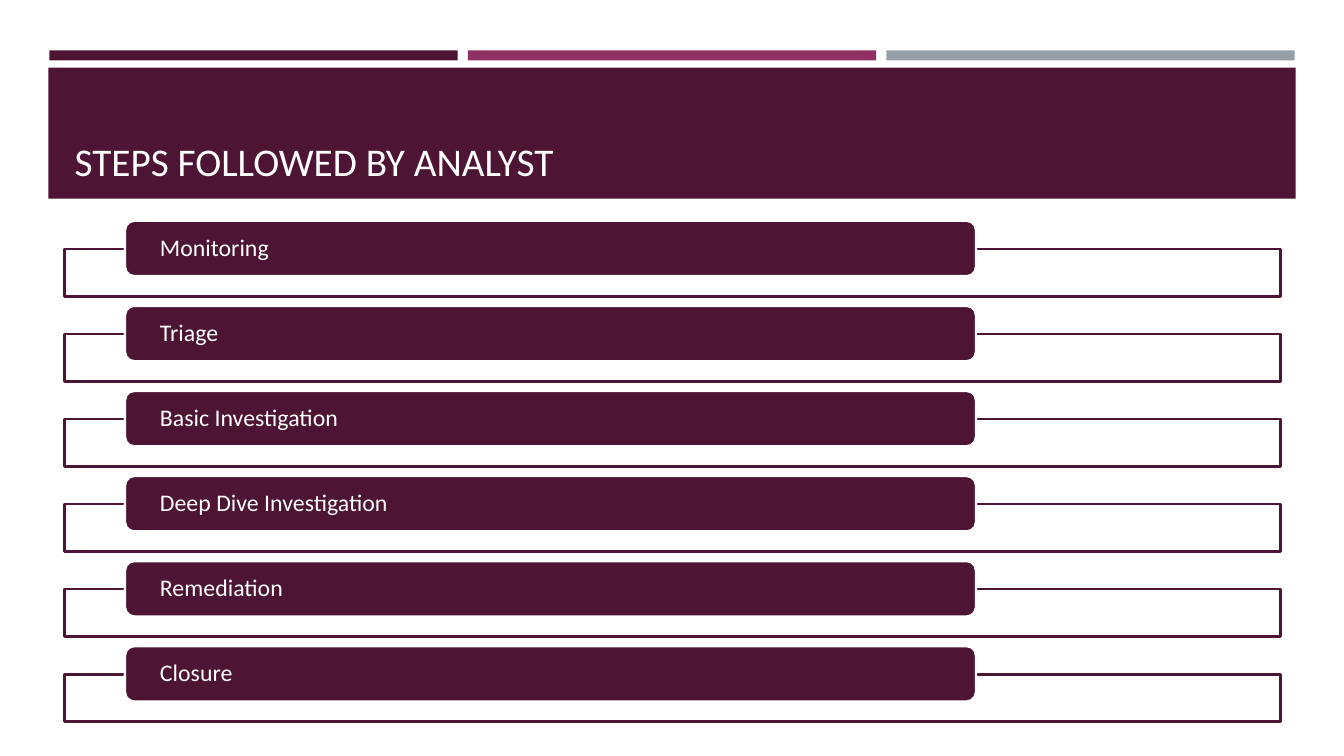
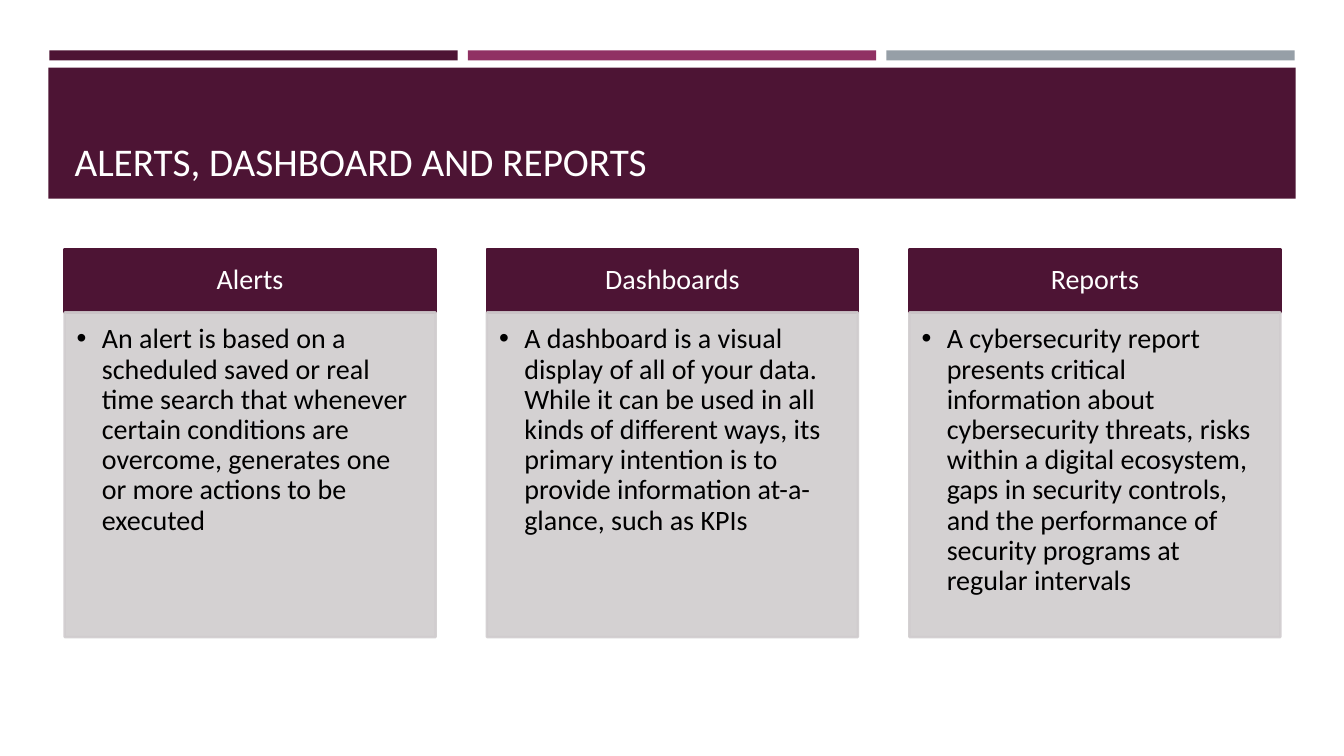
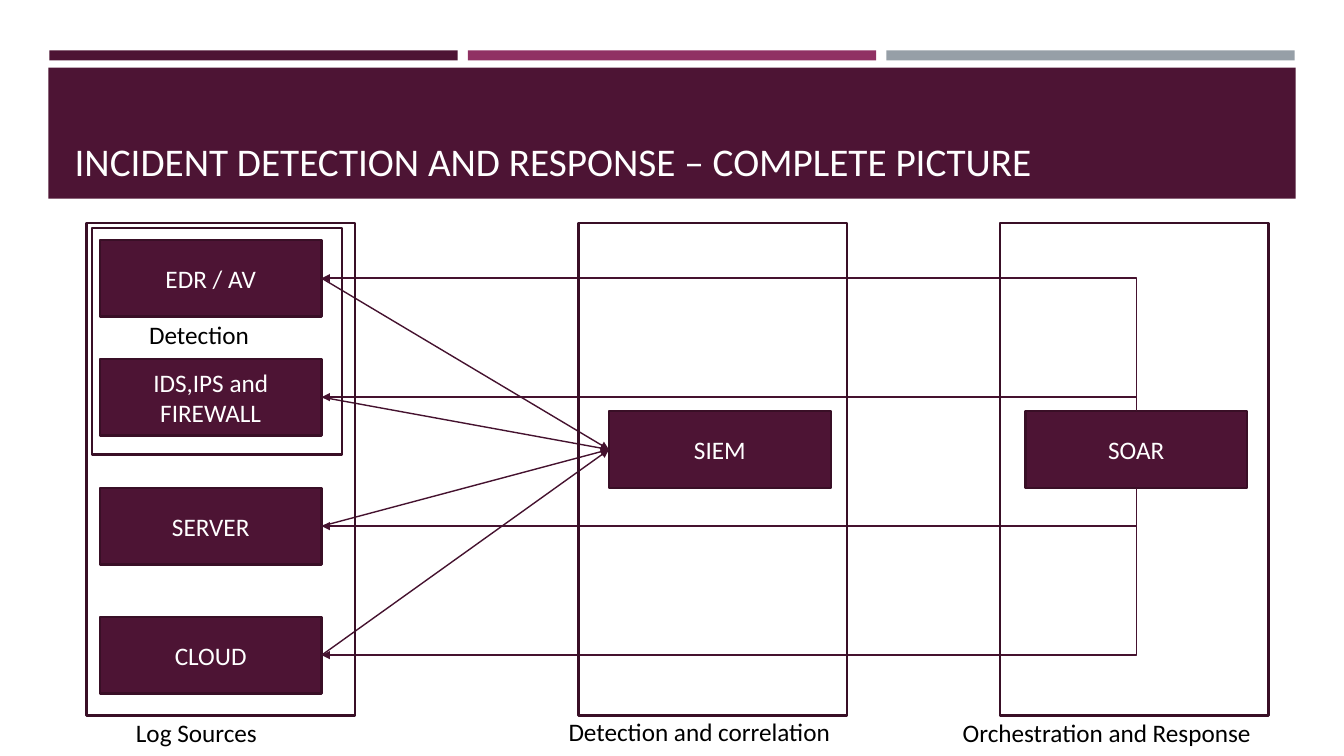
from pptx import Presentation
from pptx import util as u
from pptx.dml.color import RGBColor
from pptx.enum import shapes as es, text as et
from pptx.oxml import ns
from lxml import etree

PLUM = RGBColor(0x4D, 0x14, 0x34)
EDGE = RGBColor(0x39, 0x0F, 0x26)
WIRE = RGBColor(0x45, 0x12, 0x2F)
ROSE = RGBColor(0x90, 0x31, 0x63)
STEEL = RGBColor(0x96, 0x9F, 0xA7)
PALE = RGBColor(0xD0, 0xCC, 0xCE)
WHITE = RGBColor(0xFF, 0xFF, 0xFF)
BLACK = RGBColor(0, 0, 0)

RECT = es.MSO_SHAPE.RECTANGLE
ROUND = es.MSO_SHAPE.ROUNDED_RECTANGLE
LEFT, MID = et.PP_ALIGN.LEFT, et.PP_ALIGN.CENTER
TOP, CORE, LOW = (et.MSO_ANCHOR.TOP, et.MSO_ANCHOR.MIDDLE,
                  et.MSO_ANCHOR.BOTTOM)
FULL = (0.1, 0.05, 0.1, 0.05)


def inch(*nums):
    return [u.Inches(n) for n in nums]


def apply(obj, vals):
    for key, val in vals.items():
        setattr(obj, key, val)


def sub(node, tag, **attrs):
    return etree.SubElement(node, ns.qn(tag), **attrs)


class Deck:
    """Holds the style and the current slide."""

    def __init__(self):
        self.prs = Presentation()
        apply(self.prs, {"slide_width": u.Inches(13.33),
                         "slide_height": u.Inches(7.5)})
        self.slide = None

    def new(self, title):
        """Start a slide with its bands and title."""
        self.slide = self.prs.slides.add_slide(self.prs.slide_layouts[5])
        for i, tint in enumerate((PLUM, ROSE, STEEL)):
            self.box((0.49 + i * 4.15, 0.5, 4.05, 0.1), tint)
        self.box((0.48, 0.67, 12.37, 1.3), PLUM)
        head = self.slide.shapes.title
        self.place(head, (0.64, 0.77, 12.06, 1.11))
        self.label(head, title, size=28, align=LEFT, anchor=LOW)
        self.slide.shapes.element.append(head.element)  # above the band

    def place(self, shape, at):
        apply(shape, dict(zip(("left", "top", "width", "height"),
                              inch(*at))))

    def label(self, shape, words, size=18, color=WHITE, align=MID,
              anchor=CORE, pad=FULL, space=1.0):
        """Fill a shape with one styled paragraph."""
        frame = shape.text_frame
        sides = ("margin_left", "margin_top", "margin_right",
                 "margin_bottom")
        apply(frame, {"text": words, "word_wrap": True,
                      "auto_size": et.MSO_AUTO_SIZE.NONE,
                      "vertical_anchor": anchor,
                      **dict(zip(sides, inch(*pad)))})
        para = frame.paragraphs[0]
        apply(para, {"alignment": align, "line_spacing": space})
        font = para.runs[0].font
        apply(font, {"name": "Calibri", "size": u.Pt(size)})
        font.color.rgb = color
        return para

    def box(self, at, fill=None, line=None, kind=RECT, alpha=None):
        shape = self.slide.shapes.add_shape(kind, *inch(*at))
        shape.shadow.inherit = False
        if fill is None:
            shape.fill.background()
        else:
            shape.fill.solid()
            shape.fill.fore_color.rgb = fill
        if line is None:
            shape.line.fill.background()
        else:
            shape.line.color.rgb = line
            shape.line.width = u.Pt(1.75)
        if alpha:
            for tint in shape.element.spPr.iter(ns.qn("a:srgbClr")):
                sub(tint, "a:alpha", val=str(alpha * 1000))
        return shape

    def note(self, at, words):
        """Add plain text beside or under a frame."""
        shape = self.slide.shapes.add_textbox(*inch(*at))
        self.label(shape, words, color=BLACK, align=LEFT, anchor=TOP)

    def bullet(self, para):
        props = para._p.get_or_add_pPr()
        step = u.Inches(0.25)
        for key, val in {"marL": step, "indent": -step}.items():
            props.set(key, str(int(val)))
        sub(props, "a:buFont", typeface="Arial")
        sub(props, "a:buChar", char="•")

    def link(self, src, site, dst, port, end, bent=False):
        """Join two shapes; end names the arrow's end of the line."""
        kind = es.MSO_CONNECTOR.ELBOW if bent else es.MSO_CONNECTOR.STRAIGHT
        wire = self.slide.shapes.add_connector(kind, 0, 0, 0, 0)
        wire.begin_connect(src, site)
        wire.end_connect(dst, port)
        wire.line.color.rgb = WIRE
        wire.line.width = u.Pt(1)
        props = wire.element.spPr
        if bent:
            props.find(ns.qn("a:prstGeom")).set("prst", "bentConnector2")
        sub(props.find(ns.qn("a:ln")), end, type="triangle")
        sub(props, "a:effectLst")


def steps(deck):
    deck.new("STEPS FOLLOWED BY ANALYST")
    names = ("Monitoring", "Triage", "Basic Investigation",
             "Deep Dive Investigation", "Remediation", "Closure")
    pitch = (6.41 - 2.19) / (len(names) - 1)
    for i, name in enumerate(names):
        top = 2.19 + i * pitch
        deck.box((0.64, top + 0.28, 12.06, 0.47), WHITE, PLUM)
        bar = deck.box((1.24, top, 8.44, 0.55), PLUM, WHITE, ROUND)
        deck.label(bar, name, size=17, align=LEFT, space=0.9,
                   pad=(0.32, 0, 0.32, 0))


def cards(deck):
    deck.new("ALERTS, DASHBOARD AND REPORTS")
    items = (
        ("Alerts", "An alert is based on a scheduled saved or real time "
         "search that whenever certain conditions are overcome, generates "
         "one or more actions to be executed"),
        ("Dashboards", "A dashboard is a visual display of all of your "
         "data. While it can be used in all kinds of different ways, its "
         "primary intention is to provide information at-a-glance, such "
         "as KPIs"),
        ("Reports", "A cybersecurity report presents critical information "
         "about cybersecurity threats, risks within a digital ecosystem, "
         "gaps in security controls, and the performance of security "
         "programs at regular intervals"),
    )
    for i, (name, words) in enumerate(items):
        left = 0.64 + i * 4.19
        head = deck.box((left, 2.47, 3.68, 0.63), PLUM, PLUM)
        deck.label(head, name, size=20, space=0.9,
                   pad=(0.16, 0.09, 0.16, 0.09))
        body = deck.box((left, 3.1, 3.68, 3.22), PALE, PALE, alpha=90)
        para = deck.label(body, words, size=20, color=BLACK, align=LEFT,
                          anchor=TOP, space=0.9,
                          pad=(0.12, 0.12, 0.16, 0.17))
        deck.bullet(para)


def flow(deck):
    deck.new("INCIDENT DETECTION AND RESPONSE – COMPLETE PICTURE")

    def node(left, top, name):
        shape = deck.box((left, top, 2.2, 0.76), PLUM, EDGE)
        deck.label(shape, name)
        return shape

    # Nodes
    tops = {"EDR / AV": 2.38, "IDS,IPS and FIREWALL": 3.56,
            "SERVER": 4.84, "CLOUD": 6.12}
    logs = [node(0.99, top, name) for name, top in tops.items()]
    siem = node(6.04, 4.08, "SIEM")
    soar = node(10.17, 4.08, "SOAR")

    # Arrows: sites are 0 top, 1 left, 2 bottom, 3 right
    for log in logs:
        deck.link(log, 3, siem, 1, "a:tailEnd")
        port = 0 if log.top < soar.top else 2
        deck.link(log, 3, soar, port, "a:headEnd", bent=True)

    # Frames
    for left in (0.86, 5.74, 9.92):
        deck.box((left, 2.21, 2.66, 4.89), line=EDGE)
    deck.box((0.91, 2.26, 2.48, 2.25), line=EDGE)

    # Labels
    deck.note((1.25, 7.07, 1.67, 0.4), "Log Sources")
    deck.note((5.54, 7.06, 3.39, 0.4), "Detection and correlation")
    deck.note((1.38, 3.12, 1.42, 0.4), "Detection")
    deck.note((9.45, 7.07, 3.67, 0.4), "Orchestration and Response")


def main():
    deck = Deck()
    for build in (steps, cards, flow):
        build(deck)
    deck.prs.save("out.pptx")


if __name__ == "__main__":
    main()
